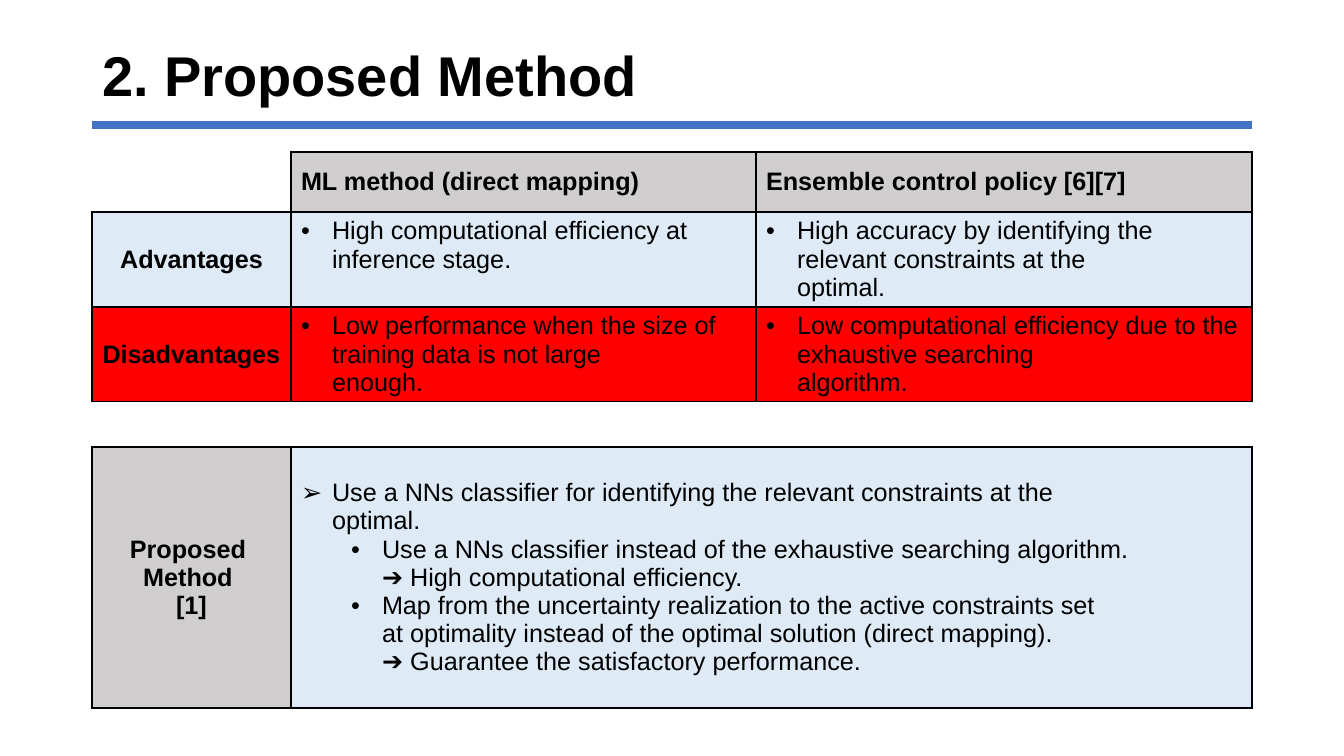
from dataclasses import dataclass

from lxml import etree
from pptx import Presentation
from pptx.dml.color import RGBColor
from pptx.enum.shapes import MSO_CONNECTOR
from pptx.enum.text import MSO_ANCHOR, MSO_AUTO_SIZE, PP_ALIGN
from pptx.oxml.ns import qn
from pptx.util import Pt

LEFT, CENTER = PP_ALIGN.LEFT, PP_ALIGN.CENTER
TOP, MIDDLE = MSO_ANCHOR.TOP, MSO_ANCHOR.MIDDLE
STRAIGHT = MSO_CONNECTOR.STRAIGHT


@dataclass(frozen=True)
class Theme:
    font: str = "Arial"
    title: int = 40
    body: int = 18
    ink: str = "000000"
    rule: str = "4472C4"
    gray: str = "D0CECE"
    blue: str = "DEEBF7"
    red: str = "FF0000"
    tint: int = 15


T = Theme()

# Content: a cell is (kind, fill, paragraphs); a point is (level, bullet, text)
TITLE = "2. Proposed Method"
COMPARE = [
    [("blank", None, []),
     ("head", T.gray, ["ML method (direct mapping)"]),
     ("head", T.gray, ["Ensemble control policy [6][7]"])],
    [("label", T.blue, ["Advantages"]),
     ("list", T.blue, [(0, "•", "High computational efficiency at inference stage.")]),
     ("list", T.blue, [(0, "•", "High accuracy by identifying the relevant "
                                "constraints at the \noptimal.")])],
    [("label", T.red, ["Disadvantages "]),
     ("list", T.red, [(0, "•", "Low performance when the size of training data "
                               "is not large \nenough.")]),
     ("list", T.red, [(0, "•", "Low computational efficiency due to the "
                               "exhaustive searching \nalgorithm.")])],
]
METHOD = [
    [("label", T.gray, ["Proposed \nMethod \n[1]"]),
     ("plan", T.blue, [
         (0, "➢", "Use a NNs classifier for identifying the relevant "
                  "constraints at the \noptimal."),
         (1, "•", "Use a NNs classifier instead of the exhaustive searching "
                  "algorithm. \n➔ High computational efficiency."),
         (1, "•", "Map from the uncertainty realization to the active "
                  "constraints set \nat optimality instead of the optimal solution "
                  "(direct mapping). \n➔ Guarantee the satisfactory performance."),
     ])],
]

# Layout in px
WIDE, HIGH = 1344, 756
X, W = 92, 1160
SIDE, MID = 199, 465
HANG, STEP = 31, 50


def px(n):
    return round(n * 914400 / 100.8)


def write(para, text, size=T.body, bold=False, align=LEFT, level=0, bullet=None):
    para.text = text
    para.alignment = align
    for run in para.runs:
        font = run.font
        font.name, font.size, font.bold = T.font, Pt(size), bold
        font.color.rgb = RGBColor.from_string(T.ink)
    if bullet:
        para.level = level
        props = para._p.get_or_add_pPr()
        props.set("marL", str(px(HANG + STEP * level)))
        props.set("indent", str(-px(HANG)))
        etree.SubElement(props, qn("a:buFont"), typeface=T.font)
        etree.SubElement(props, qn("a:buChar"), char=bullet)


def border(cell, sides):
    props = cell._tc.get_or_add_tcPr()
    for side in "LRTB":
        line = etree.SubElement(props, qn("a:ln" + side), w=str(Pt(1)))
        if side in sides:
            fill = etree.SubElement(line, qn("a:solidFill"))
            etree.SubElement(fill, qn("a:srgbClr"), val=T.ink)
        else:
            etree.SubElement(line, qn("a:noFill"))


def paint(cell, color):
    if color is None:
        cell.fill.background()
        return
    cell.fill.solid()
    cell.fill.fore_color.rgb = RGBColor.from_string(color)
    if color == T.red:
        tone = next(cell._tc.tcPr.iter(qn("a:srgbClr")))
        etree.SubElement(tone, qn("a:alpha"), val=str(T.tint * 1000))


def fill_cell(cell, kind, color, items):
    border(cell, "RB" if kind == "blank" else "LRTB")
    paint(cell, color)
    cell.vertical_anchor = TOP if kind == "list" else MIDDLE
    frame = cell.text_frame
    for i, item in enumerate(items):
        para = frame.add_paragraph() if i else frame.paragraphs[0]
        if kind in ("list", "plan"):
            level, bullet, text = item
            write(para, text, level=level, bullet=bullet)
        else:
            write(para, item, bold=True, align=CENTER if kind == "label" else LEFT)


def add_grid(slide, y, cells, cols, rows):
    table = slide.shapes.add_table(len(rows), len(cols), px(X), px(y),
                                   px(W), px(sum(rows))).table
    table.first_row = table.horz_banding = False
    for col, width in zip(table.columns, cols):
        col.width = px(width)
    for r, (row, height) in enumerate(zip(cells, rows)):
        table.rows[r].height = px(height)
        for c, parts in enumerate(row):
            fill_cell(table.cell(r, c), *parts)


def main():
    deck = Presentation()
    deck.slide_width, deck.slide_height = px(WIDE), px(HIGH)
    slide = deck.slides.add_slide(deck.slide_layouts[5])

    # Title
    title = slide.shapes.title
    title.left, title.top, title.width, title.height = px(X), px(40), px(W), px(76)
    frame = title.text_frame
    frame.auto_size = MSO_AUTO_SIZE.NONE
    frame.vertical_anchor = MIDDLE
    write(frame.paragraphs[0], TITLE, size=T.title, bold=True)
    frame.paragraphs[0].line_spacing = 0.9

    # Comparison
    add_grid(slide, 152, COMPARE, [SIDE, MID, W - SIDE - MID], [60, 95, 95])

    # Rule under the title
    rule = slide.shapes.add_connector(STRAIGHT, px(X), px(125), px(X + W), px(125))
    rule.line.color.rgb = RGBColor.from_string(T.rule)
    rule.line.width = Pt(6)
    etree.SubElement(rule._element.spPr, qn("a:effectLst"))

    # Proposed method
    add_grid(slide, 447, METHOD, [SIDE, W - SIDE], [261])

    deck.save("out.pptx")


if __name__ == "__main__":
    main()
